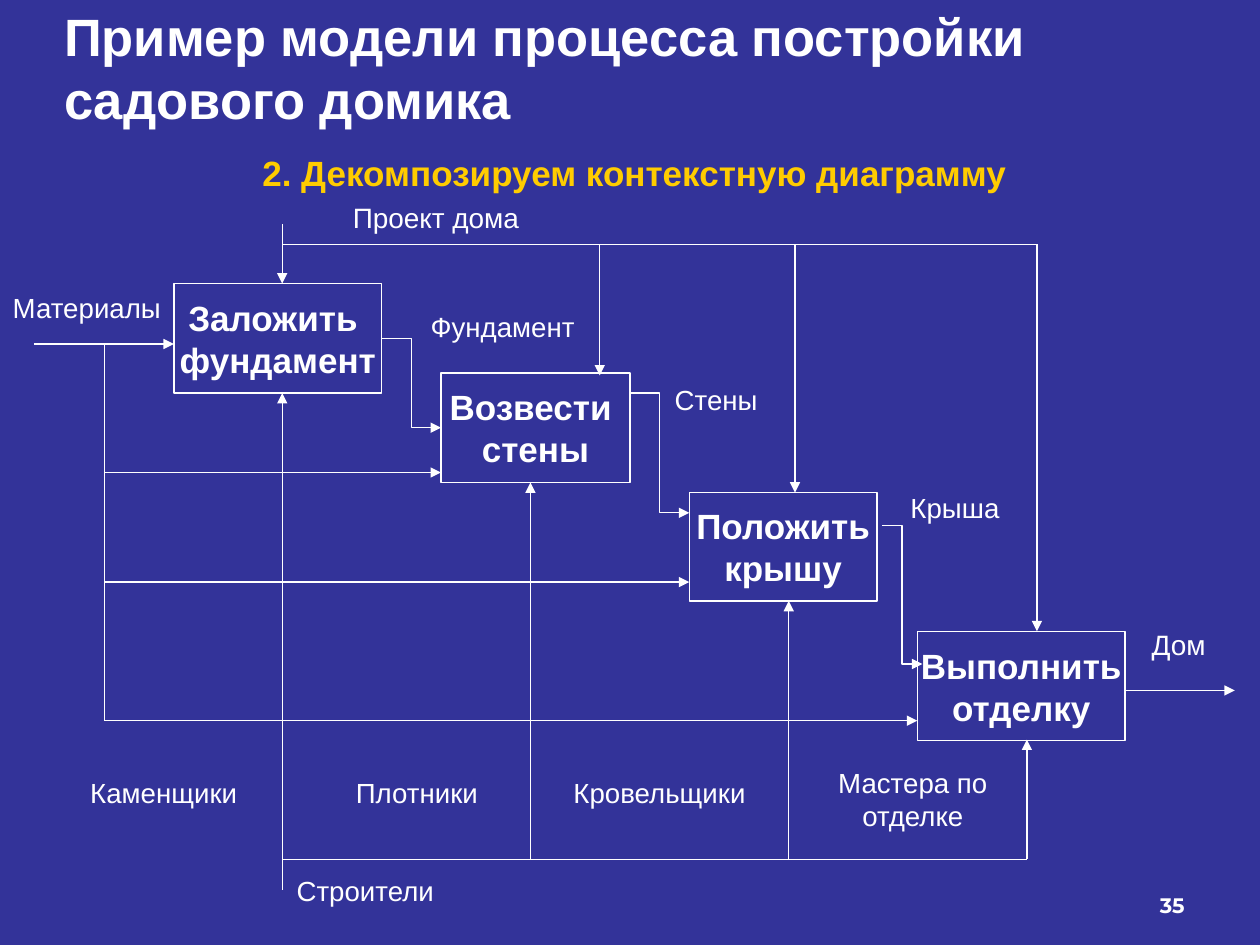
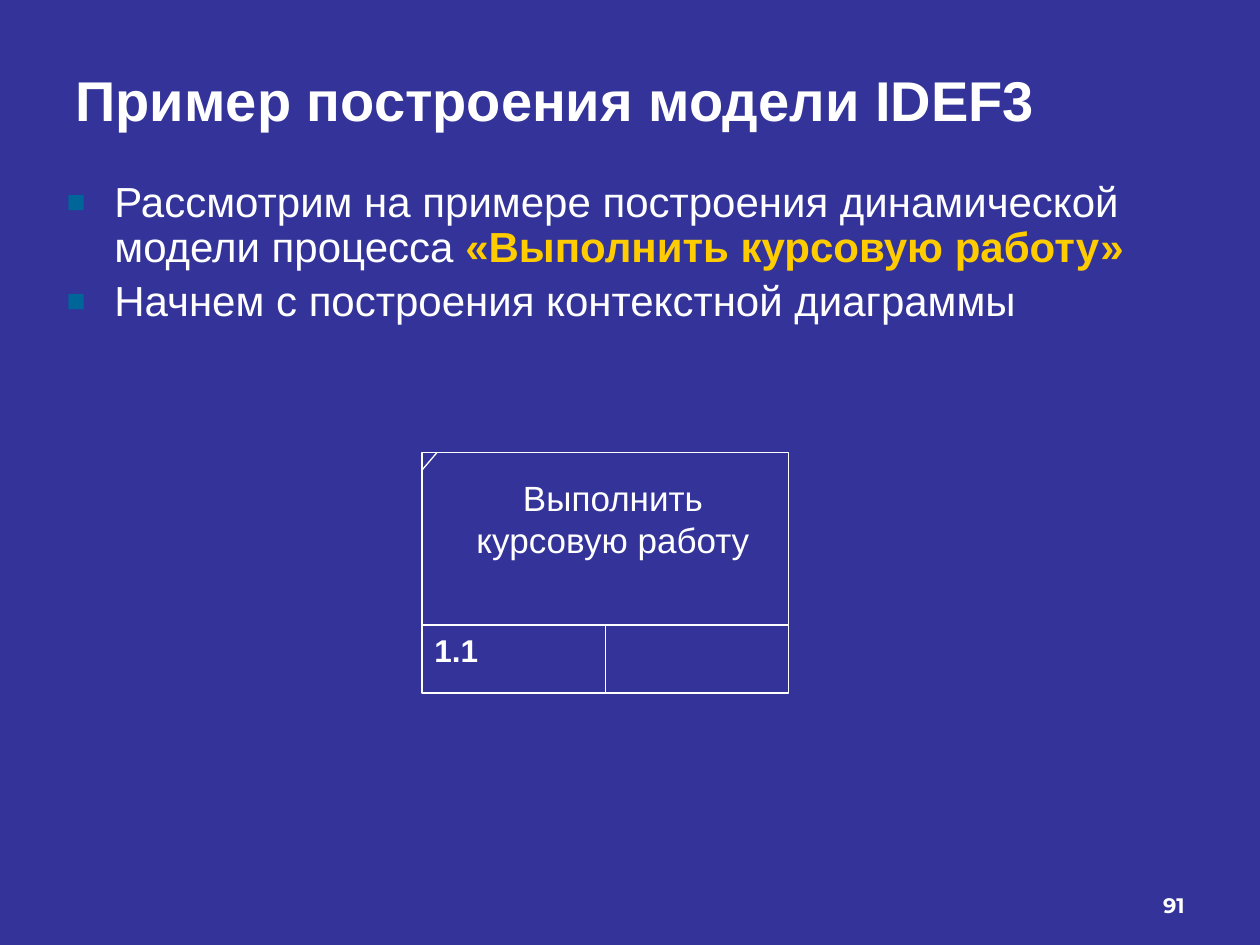
from dataclasses import dataclass

from lxml import etree
from pptx import Presentation
from pptx.dml.color import RGBColor
from pptx.enum.shapes import MSO_CONNECTOR, MSO_SHAPE
from pptx.enum.text import MSO_ANCHOR, MSO_AUTO_SIZE, PP_ALIGN
from pptx.oxml.ns import qn
from pptx.shapes.autoshape import Shape
from pptx.shapes.connector import Connector
from pptx.slide import Slide
from pptx.text.text import TextFrame
from pptx.util import Inches, Pt

BACKGROUND, WHITE, YELLOW, TEAL = "333399", "FFFFFF", "FFCC00", "006699"
FONT, NUMBER_FONT = "Arial", "Montserrat"
LINE_WIDTH = Pt(0.75)
STRAIGHT, ELBOW = MSO_CONNECTOR.STRAIGHT, MSO_CONNECTOR.ELBOW
RECTANGLE = MSO_SHAPE.RECTANGLE
LEFT, CENTER, RIGHT = PP_ALIGN.LEFT, PP_ALIGN.CENTER, PP_ALIGN.RIGHT
TOP, MIDDLE, BOTTOM = MSO_ANCHOR.TOP, MSO_ANCHOR.MIDDLE, MSO_ANCHOR.BOTTOM
NO_AUTOFIT = MSO_AUTO_SIZE.NONE
LEFT_SIDE, BOTTOM_SIDE, RIGHT_SIDE = 1, 2, 3
TITLE_ONLY = 5

Point = tuple[float, float]
Area = tuple[float, float, float, float]


@dataclass
class Words:
    text: str
    size: float = 15.8
    bold: bool = False
    color: str = WHITE
    font: str = FONT


@dataclass
class Label:
    words: Words
    area: Area
    align: PP_ALIGN = CENTER
    anchor: MSO_ANCHOR = TOP
    wrap: bool = True


@dataclass
class Activity:
    lines: tuple[str, str]
    area: Area


@dataclass
class Flow:
    start: Point
    end: Point
    arrow: bool = True
    kind: MSO_CONNECTOR = STRAIGHT


# Shared drawing functions
def rgb(color: str) -> RGBColor:
    return RGBColor.from_string(color)


def to_inches(area: Area) -> list[Inches]:
    return [Inches(length) for length in area]


def add_words(paragraph, words: Words) -> None:
    run = paragraph.add_run()
    run.text = words.text
    run.font.name = words.font
    run.font.size = Pt(words.size)
    run.font.bold = words.bold
    run.font.color.rgb = rgb(words.color)


def set_frame(frame: TextFrame, anchor: MSO_ANCHOR, wrap: bool = True) -> None:
    frame.auto_size = NO_AUTOFIT
    frame.word_wrap = wrap
    frame.vertical_anchor = anchor


def add_label(slide: Slide, label: Label) -> None:
    frame = slide.shapes.add_textbox(*to_inches(label.area)).text_frame
    set_frame(frame, label.anchor, label.wrap)
    paragraph = frame.paragraphs[0]
    paragraph.alignment = label.align
    add_words(paragraph, label.words)


def add_outline(slide: Slide, area: Area) -> Shape:
    outline = slide.shapes.add_shape(RECTANGLE, *to_inches(area))
    outline.shadow.inherit = False
    outline.fill.background()
    outline.line.color.rgb = rgb(WHITE)
    outline.line.width = LINE_WIDTH
    return outline


def add_activity(slide: Slide, activity: Activity) -> Shape:
    box = add_outline(slide, activity.area)
    frame = box.text_frame
    set_frame(frame, MIDDLE, wrap=False)
    for index, line in enumerate(activity.lines):
        paragraph = frame.add_paragraph() if index else frame.paragraphs[0]
        paragraph.alignment = CENTER
        add_words(paragraph, Words(line, 20, True))
    return box


def add_flow(slide: Slide, flow: Flow) -> Connector:
    connector = slide.shapes.add_connector(
        flow.kind, *to_inches(flow.start + flow.end))
    connector.line.color.rgb = rgb(WHITE)
    connector.line.width = LINE_WIDTH
    properties = connector.element.spPr
    if flow.arrow:
        etree.SubElement(properties.find(qn("a:ln")), qn("a:tailEnd"), type="triangle")
    etree.SubElement(properties, qn("a:effectLst"))
    return connector


def add_titled_slide(prs, title: Words, area: Area, number: str) -> Slide:
    slide = prs.slides.add_slide(prs.slide_layouts[TITLE_ONLY])
    heading = slide.shapes.title
    heading.left, heading.top, heading.width, heading.height = to_inches(area)
    set_frame(heading.text_frame, MIDDLE)
    paragraph = heading.text_frame.paragraphs[0]
    paragraph.alignment = LEFT
    add_words(paragraph, title)
    add_label(slide, Label(Words(number, 12, True, font=NUMBER_FONT),
                           (7.17, 6.83, 2.33, 0.5), RIGHT, BOTTOM))
    return slide


def set_bullet(paragraph) -> None:
    properties = paragraph._p.get_or_add_pPr()
    properties.set("marL", str(Inches(0.38)))
    properties.set("indent", str(-Inches(0.38)))
    color = etree.SubElement(properties, qn("a:buClr"))
    etree.SubElement(color, qn("a:srgbClr"), val=TEAL)
    etree.SubElement(properties, qn("a:buSzPct"), val="75000")
    etree.SubElement(properties, qn("a:buFont"), typeface=FONT)
    etree.SubElement(properties, qn("a:buChar"), char="■")


# Slide 1: decomposition of building a garden house
FOUNDATION = Activity(("Заложить ", "фундамент"), (1.38, 2.25, 1.65, 0.87))
WALLS = Activity(("Возвести ", "стены"), (3.5, 2.96, 1.5, 0.87))
ROOF = Activity(("Положить", "крышу"), (5.47, 3.91, 1.49, 0.86))
FINISHING = Activity(("Выполнить", "отделку"), (7.28, 5.01, 1.65, 0.87))

PROJECT_X, PROJECT_Y = 2.24, 1.94
BUILDERS_Y = 6.82
MATERIALS_X, MATERIALS_Y = 0.83, 2.73

PROJECT_ENDS = [(4.76, 2.98), (6.31, 3.91), (8.23, 5.01)]
BUILDERS_ENDS = [(4.21, 3.83), (6.26, 4.77), (8.15, 5.87)]
MATERIALS_ENDS = [(3.5, 3.75), (5.47, 4.62), (7.28, 5.72)]

HOUSE_FLOWS = [
    # Trunks and outer arrows
    Flow((0.27, MATERIALS_Y), (1.38, MATERIALS_Y)),
    Flow((PROJECT_X, 1.78), (PROJECT_X, 2.25)),
    Flow((PROJECT_X, 7.06), (PROJECT_X, 3.12)),
    Flow((8.94, 5.48), (9.8, 5.48)),
    Flow((PROJECT_X, PROJECT_Y), (8.23, PROJECT_Y), arrow=False),
    Flow((PROJECT_X, BUILDERS_Y), (8.15, BUILDERS_Y), arrow=False),
    Flow((MATERIALS_X, MATERIALS_Y), (MATERIALS_X, 5.72), arrow=False),
    # Branches
    *[Flow((x, PROJECT_Y), (x, y)) for x, y in PROJECT_ENDS],
    *[Flow((x, BUILDERS_Y), (x, y)) for x, y in BUILDERS_ENDS],
    *[Flow((MATERIALS_X, y), (x, y)) for x, y in MATERIALS_ENDS],
    # Results passed to the next activity
    Flow((5, 3.12), (5.47, 4.07), kind=ELBOW),
    Flow((7, 4.17), (7.32, 5.27), kind=ELBOW),
]

HOUSE_LABELS = [
    Label(Words("2. Декомпозируем контекстную диаграмму", 20, True, YELLOW),
          (0.27, 1.15, 9.53, 0.44)),
    Label(Words("Материалы"), (-0.1, 2.26, 1.58, 0.37)),
    Label(Words("Проект дома", 16), (2.32, 1.54, 2.28, 0.37)),
    Label(Words("Строители"), (2.07, 6.89, 1.66, 0.37)),
    Label(Words("Дом", 16), (9.04, 4.93, 0.63, 0.37), wrap=False),
    Label(Words("Каменщики"), (0.51, 6.11, 1.58, 0.37)),
    Label(Words("Плотники"), (2.56, 6.11, 1.5, 0.37)),
    Label(Words("Кровельщики"), (4.29, 6.11, 1.89, 0.37)),
    Label(Words("Мастера по отделке"), (6.34, 6.03, 1.81, 0.63)),
    Label(Words("Фундамент"), (3.21, 2.41, 1.56, 0.37)),
    Label(Words("Стены"), (5.25, 2.99, 0.87, 0.37), wrap=False),
    Label(Words("Крыша"), (7.03, 3.85, 1.1, 0.37)),
]


def build_house_slide(prs) -> None:
    title = Words("Пример модели процесса постройки садового домика", 30, True)
    slide = add_titled_slide(prs, title, (0.41, 0.22, 9.57, 0.63), "35")
    foundation, walls, _, _ = [
        add_activity(slide, activity)
        for activity in (FOUNDATION, WALLS, ROOF, FINISHING)]
    for flow in HOUSE_FLOWS:
        add_flow(slide, flow)
    foundation_result = add_flow(slide, Flow((3.03, 2.69), (3.5, 3.4), kind=ELBOW))
    foundation_result.begin_connect(foundation, RIGHT_SIDE)
    foundation_result.end_connect(walls, LEFT_SIDE)
    for label in HOUSE_LABELS:
        add_label(slide, label)


# Slide 2: context diagram of the IDEF3 model
COURSEWORK_POINTS = [
    [Words("Рассмотрим на примере построения динамической модели процесса ", 24),
     Words("«Выполнить курсовую работу»", 24, True, YELLOW)],
    [Words("Начнем с построения контекстной диаграммы", 24)],
]


def build_coursework_slide(prs) -> None:
    title = Words("Пример построения модели IDEF3", 32, True)
    slide = add_titled_slide(prs, title, (0.5, 0.5, 9, 0.57), "91")

    # Introduction
    frame = slide.shapes.add_textbox(*to_inches((0.43, 1.39, 9, 1.26))).text_frame
    set_frame(frame, TOP)
    for index, point in enumerate(COURSEWORK_POINTS):
        paragraph = frame.add_paragraph() if index else frame.paragraphs[0]
        set_bullet(paragraph)
        paragraph.line_spacing = 0.9
        if index:
            paragraph.space_before = Pt(4.8)
        for words in point:
            add_words(paragraph, words)

    # Unit of work
    left, top, width, height = 3.35, 3.59, 2.91, 1.91
    right, bottom, center = left + width, top + height, left + width / 2
    footer_top, corner_x, corner_y = 4.96, 3.47, 3.73
    unit = add_outline(slide, (left, top, width, height))
    add_flow(slide, Flow((left, footer_top), (right, footer_top), arrow=False))
    add_flow(slide, Flow((corner_x, top), (left, corner_y), arrow=False))
    divider = add_flow(slide, Flow((center, footer_top), (center, bottom), arrow=False))
    divider.end_connect(unit, BOTTOM_SIDE)
    add_label(slide, Label(Words("1.1", 18, True), (left, footer_top, 1.46, 0.4), LEFT))
    add_label(slide, Label(Words("Выполнить курсовую работу", 20),
                           (corner_x, corner_y, right - corner_x, 0.78)))


def main() -> None:
    prs = Presentation()
    prs.slide_width, prs.slide_height = Inches(10), Inches(7.5)
    fill = prs.slide_master.background.fill
    fill.solid()
    fill.fore_color.rgb = rgb(BACKGROUND)
    build_house_slide(prs)
    build_coursework_slide(prs)
    prs.save("out.pptx")


if __name__ == "__main__":
    main()
